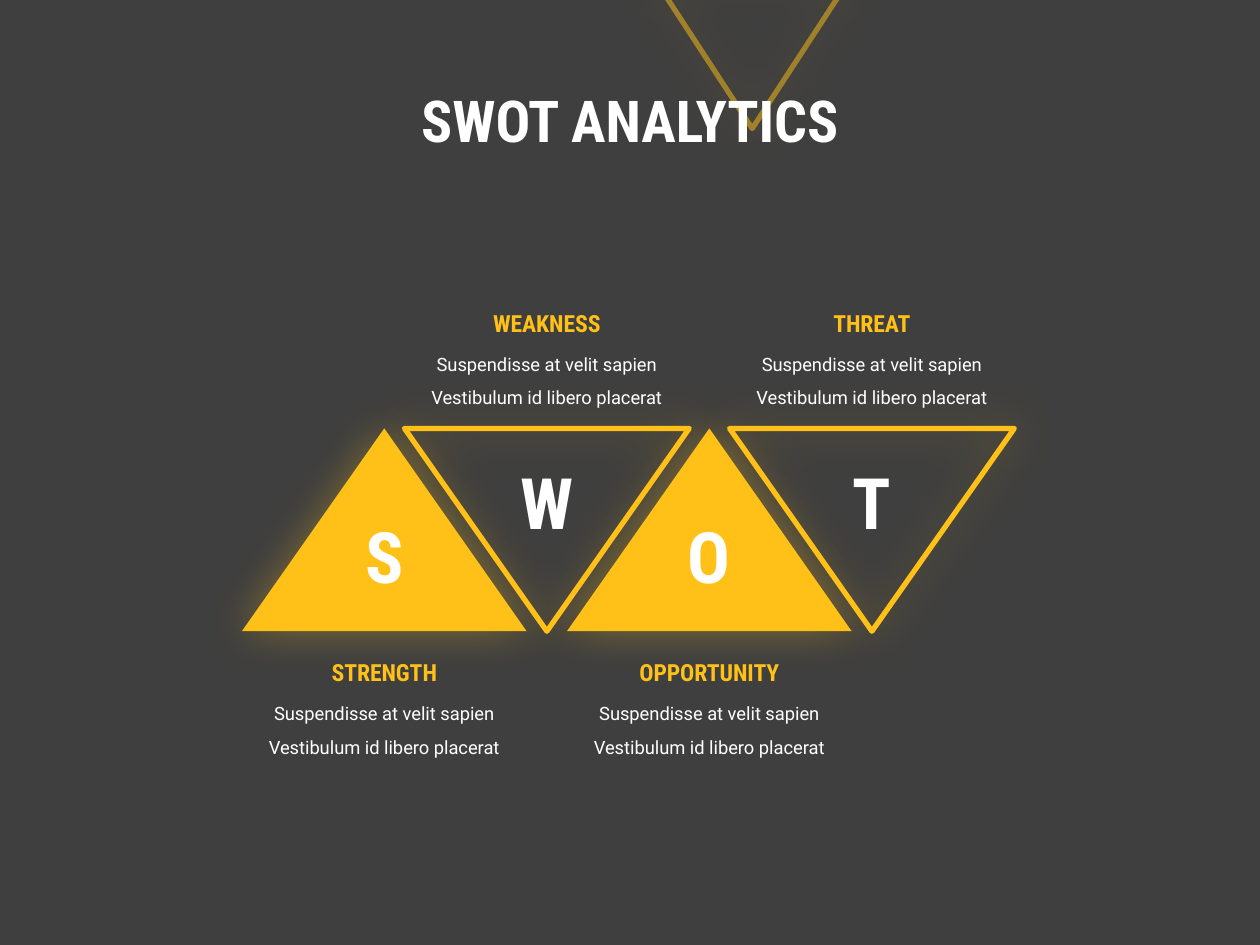
from lxml import etree
from pptx import Presentation
from pptx.dml.color import RGBColor
from pptx.enum.shapes import MSO_SHAPE
from pptx.enum.text import MSO_ANCHOR, PP_ALIGN
from pptx.oxml.ns import qn
from pptx.util import Inches, Pt

YELLOW = RGBColor(0xFF, 0xC1, 0x18)
WHITE = RGBColor(0xFF, 0xFF, 0xFF)
GREY = RGBColor(0x3F, 0x3F, 0x3F)
HEAD_FONT, BODY_FONT = "Roboto Condensed", "Roboto"

TITLE = "SWOT ANALYTICS"
BODY = "Suspendisse at velit sapien Vestibulum id libero placerat"
PARTS = ["STRENGTH", "WEAKNESS", "OPPORTUNITY", "THREAT"]

# Grid of overlapping triangles, in inches
FIRST_CENTER, STEP = 3.05, 1.29
TRI_TOP, TRI_W, TRI_H = 3.4, 2.26, 1.61
# Tops of letter, heading and body for upright and inverted triangles
UPRIGHT_TOPS = (4.02, 5.17, 5.44)
INVERTED_TOPS = (3.59, 2.4, 2.67)


def write(shape, text, *, size, color=WHITE, font=HEAD_FONT, bold=True,
          spacing=None, anchor=MSO_ANCHOR.TOP):
    tf = shape.text_frame
    tf.word_wrap = True
    tf.vertical_anchor = anchor
    p = tf.paragraphs[0]
    p.alignment = PP_ALIGN.CENTER
    p.line_spacing = spacing
    r = p.add_run()
    r.text = text
    r.font.size, r.font.name, r.font.bold = Pt(size), font, bold
    r.font.color.rgb = color


def add_label(slide, text, center, top, width, height, **fmt):
    box = slide.shapes.add_textbox(Inches(center - width / 2), Inches(top),
                                   Inches(width), Inches(height))
    write(box, text, **fmt)


def add_alpha(color, percent):
    etree.SubElement(color, qn("a:alpha"), val=str(percent * 1000))


def add_triangle(slide, center, top, width, height, inverted, line_alpha=None):
    sp = slide.shapes.add_shape(
        MSO_SHAPE.ISOSCELES_TRIANGLE, Inches(center - width / 2), Inches(top),
        Inches(width), Inches(height))
    if inverted:
        sp.rotation = 180
        sp.fill.background()
        sp.line.color.rgb = YELLOW
        sp.line.width = Pt(3)
        if line_alpha:
            add_alpha(sp.line._ln.find(".//" + qn("a:srgbClr")), line_alpha)
    else:
        sp.fill.solid()
        sp.fill.fore_color.rgb = YELLOW
        sp.line.fill.background()
    # Soft yellow glow
    sp.shadow.inherit = False
    effects = sp._element.spPr.find(qn("a:effectLst"))
    glow = etree.SubElement(effects, qn("a:outerShdw"), blurRad=str(Pt(25)),
                            dist="0", dir="0", algn="ctr", rotWithShape="0")
    add_alpha(etree.SubElement(glow, qn("a:srgbClr"), val=str(YELLOW)), 35)
    return sp


def main():
    prs = Presentation()
    prs.slide_width, prs.slide_height = Inches(10), Inches(7.5)
    slide = prs.slides.add_slide(prs.slide_layouts[5])
    slide.background.fill.solid()
    slide.background.fill.fore_color.rgb = GREY

    # Title, with the faded triangle behind it
    title = slide.shapes.title
    title.left, title.top = Inches(2.45), Inches(0.49)
    title.width, title.height = Inches(5.1), Inches(0.98)
    write(title, TITLE, size=33, spacing=0.9, anchor=MSO_ANCHOR.MIDDLE)
    accent = add_triangle(slide, 5.97, -0.16, 1.54, 1.18, True, line_alpha=50)
    title._element.addprevious(accent._element)

    # Triangles
    centers = [FIRST_CENTER + i * STEP for i in range(len(PARTS))]
    for i, center in enumerate(centers):
        add_triangle(slide, center, TRI_TOP, TRI_W, TRI_H, i % 2 == 1)

    # Letters, headings and descriptions
    for i, (center, name) in enumerate(zip(centers, PARTS)):
        letter_top, head_top, body_top = INVERTED_TOPS if i % 2 else UPRIGHT_TOPS
        add_label(slide, name[0], center, letter_top, 0.76, 0.78, size=40.5)
        add_label(slide, BODY, center, body_top, 2.23, 0.6, size=10.5,
                  font=BODY_FONT, bold=False, spacing=1.5)
        add_label(slide, name, center, head_top, 1.84, 0.33, size=13.5,
                  color=YELLOW)

    prs.save("out.pptx")


if __name__ == "__main__":
    main()
